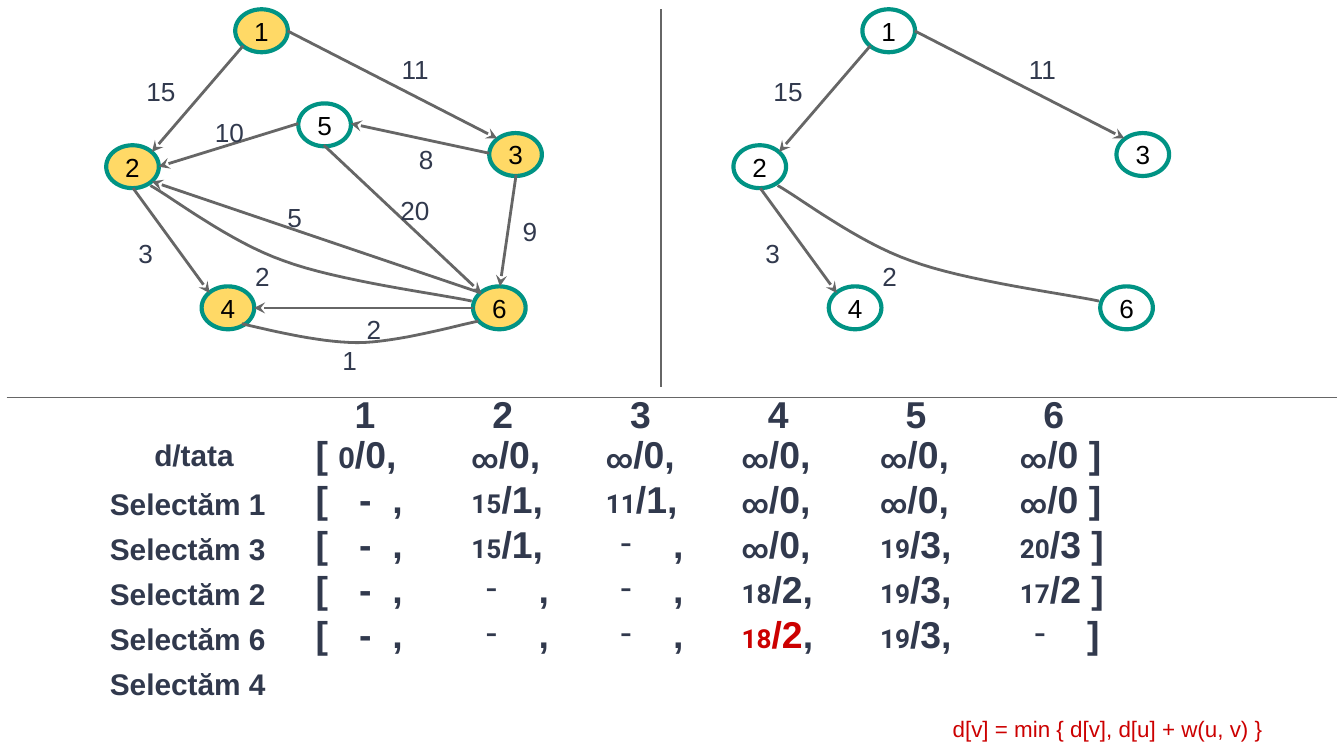
from lxml import etree
from pptx import Presentation
from pptx import util as u
from pptx.dml.color import RGBColor
from pptx.enum import shapes, text
from pptx.oxml import ns

Pt = u.Pt
INK = RGBColor(0x31, 0x39, 0x4D)
RED = RGBColor(0xCC, 0x00, 0x00)
GRAY = RGBColor(0x66, 0x66, 0x66)
TEAL = RGBColor(0x00, 0x93, 0x84)
YELLOW = RGBColor(0xFF, 0xD9, 0x66)
BLACK = RGBColor(0, 0, 0)

presentation = Presentation()
presentation.slide_width, presentation.slide_height = Pt(720), Pt(405)
slide = presentation.slides.add_slide(presentation.slide_layouts[6])


def add_text(x, y, width, height, runs, bold=False, bullet=None, tabs=()):
    """Text box with one paragraph; runs are (text, size, font, color)."""
    frame = slide.shapes.add_textbox(Pt(x), Pt(y), Pt(width), Pt(height)).text_frame
    frame.word_wrap = True
    frame.auto_size = text.MSO_AUTO_SIZE.SHAPE_TO_FIT_TEXT
    frame.margin_left = frame.margin_right = Pt(7.2)
    frame.margin_top = frame.margin_bottom = Pt(7.2)
    paragraph = frame.paragraphs[0]
    properties = paragraph._p.get_or_add_pPr()
    if bullet:
        properties.set("marL", str(Pt(36)))
        properties.set("indent", str(Pt(-28)))
        color = etree.SubElement(properties, ns.qn("a:buClr"))
        etree.SubElement(color, ns.qn("a:srgbClr"), val=str(INK))
        etree.SubElement(properties, ns.qn("a:buFont"), typeface="Roboto")
        etree.SubElement(properties, ns.qn("a:buChar"), char=bullet)
    if tabs:
        tab_list = etree.SubElement(properties, ns.qn("a:tabLst"))
        for position in tabs:
            etree.SubElement(tab_list, ns.qn("a:tab"), pos=str(Pt(position)), algn="l")
    for content, size, name, color in runs:
        run = paragraph.add_run()
        run.text = content
        font = paragraph.font if len(runs) == 1 else run.font
        font.size, font.name, font.bold = Pt(size), name, bold
        font.color.rgb = color


def add_line(x1, y1, x2, y2, width, arrow=False):
    connector = slide.shapes.add_connector(
        shapes.MSO_CONNECTOR.STRAIGHT, Pt(x1), Pt(y1), Pt(x2), Pt(y2))
    connector.line.color.rgb = GRAY
    connector.line.width = Pt(width)
    properties = connector._element.spPr
    if arrow:
        etree.SubElement(properties.find(ns.qn("a:ln")), ns.qn("a:tailEnd"), type="stealth")
    etree.SubElement(properties, ns.qn("a:effectLst"))


# Dividers
add_line(3.6, 213.1, 716.4, 213.1, 0.75)
add_line(354.2, 5, 354.2, 207.4, 0.75)

# Graph data, placed for the left graph; the tree on the right is shifted
TREE_SHIFT = 336
nodes = {"1": (126, 5), "2": (56.9, 77.8), "3": (262.1, 71.3),
         "4": (108, 153.4), "5": (159.8, 55.4), "6": (253.4, 153.4)}
visited = "12346"
# (start, end, weight, label position, in tree)
edges = [
    ((130.3, 24.5), (81.4, 81.4), "15", (71.3, 33.1), True),
    ((154.1, 16.6), (266.4, 74.2), "11", (208.1, 21.6), True),
    ((159.8, 66.2), (85, 89.3), "10", (108, 55.4), False),
    ((262.1, 82.1), (187.9, 66.2), "8", (217.4, 69.8), False),
    ((71.3, 100.8), (112.3, 157), "3", (67, 120.2), True),
    ((257.8, 157), (81.4, 97.2), "5", (146.9, 100.8), False),
    ((253.4, 165), (136.1, 165), "2", (189.4, 160.6), False),
    ((173.5, 77.8), (257.8, 157), "20", (207.4, 97.2), False),
    ((276.5, 93.6), (267.8, 153.4), "9", (272.9, 108), False),
]
# Bezier control points: start, then three per segment
curves = [
    ([(80.6, 99.4), (92.2, 105.8), (123.1, 129.6), (151.9, 139.7),
      (180.7, 150.5), (236.2, 157.7), (252.7, 161.3)], "2", (129.6, 132.5), True),
    ([(129.6, 173.5), (139.7, 175.7), (169.9, 183.6), (191.5, 183.6),
      (212.4, 183.6), (245.5, 174.2), (256.3, 172.1)], "1", (176.4, 177.1), False),
]

for shift in (0, TREE_SHIFT):
    # Nodes
    for name, (x, y) in nodes.items():
        if shift and name == "5":
            continue
        node = slide.shapes.add_shape(
            shapes.MSO_SHAPE.OVAL, Pt(x + shift), Pt(y), Pt(28.2), Pt(23))
        node.shadow.inherit = False
        if name in visited and not shift:
            node.fill.solid()
            node.fill.fore_color.rgb = YELLOW
        else:
            node.fill.background()
        node.line.color.rgb = TEAL
        node.line.width = Pt(2.25)
        frame = node.text_frame
        frame.margin_left = frame.margin_right = Pt(1.44)
        frame.margin_top = frame.margin_bottom = Pt(1.44)
        frame.vertical_anchor = text.MSO_ANCHOR.MIDDLE
        paragraph = frame.paragraphs[0]
        paragraph.text = name
        paragraph.alignment = text.PP_ALIGN.CENTER
        paragraph.font.size, paragraph.font.name = Pt(14), "Arial"
        paragraph.font.color.rgb = BLACK

    # Straight edges
    for (x1, y1), (x2, y2), weight, label, in_tree in edges:
        if in_tree or not shift:
            add_line(x1 + shift, y1, x2 + shift, y2, 1.5, arrow=True)
            add_text(label[0] + shift, label[1], 33.8, 31.7, [(weight, 14, "Arial", INK)])

    # Curved edges
    for controls, weight, label, in_tree in curves:
        if shift and not in_tree:
            continue
        points = []
        for first in range(0, len(controls) - 1, 3):
            a, b, c, d = controls[first:first + 4]
            for step in range(1, 17):
                t = step / 16
                s = 1 - t
                points.append(tuple(
                    Pt(s**3 * a[i] + 3 * s * s * t * b[i] + 3 * s * t * t * c[i]
                       + t**3 * d[i] + (shift if i == 0 else 0)) for i in (0, 1)))
        builder = slide.shapes.build_freeform(Pt(controls[0][0] + shift), Pt(controls[0][1]))
        builder.add_line_segments(points, close=False)
        curve = builder.convert_to_shape()
        curve.shadow.inherit = False
        curve.fill.background()
        curve.line.color.rgb = GRAY
        curve.line.width = Pt(1.5)
        add_text(label[0] + shift, label[1], 33.8, 31.7, [(weight, 14, "Arial", INK)])

# Column numbers
for column in range(6):
    add_text(182.9 + 73.8 * column, 202.3, 38.9, 38.9,
             [(str(column + 1), 20, "Arial", INK)], bold=True)

# Distance / parent steps; a cell without a slash is a dashed one
ROW_STEP = 24.1
column_lefts = [245.5, 317.5, 390.2, 464.4, 539.3]
steps = [
    ("d/tata", ["∞/0,", "∞/0,", "∞/0,", "∞/0,", "∞/0 ]"]),
    ("Selectăm 1", ["15/1,", "11/1,", "∞/0,", "∞/0,", "∞/0 ]"]),
    ("Selectăm 3", ["15/1,", ",", "∞/0,", "19/3,", "20/3 ]"]),
    ("Selectăm 2", [",", ",", "18/2,", "19/3,", "17/2 ]"]),
    ("Selectăm 6", [",", ",", "18/2,", "19/3,", "]"]),
    ("Selectăm 4", []),
]
for row, (label, cells) in enumerate(steps):
    top = 224 + ROW_STEP * row
    x, y, width = (51.8, top + 4.7, 101.5) if row else (75.6, 226.8, 86.4)
    add_text(x, y, width, 33.8, [(label, 16, "Arial", INK)], bold=True)
    if row == 0:
        add_text(162, top, 59.8, 38.9, [("[ ", 20, "Arial", INK), ("0", 16, "Arial", INK),
                                        ("/0,", 20, "Arial", INK)], bold=True)
    elif cells:
        add_text(162, top, 67, 38.9, [("[\t-\t,", 20, "Arial", INK)],
                 bold=True, tabs=(23.3, 41.1))
    for column, (left, cell) in enumerate(zip(column_lefts, cells)):
        distance, slash, parent = cell.partition("/")
        if not slash:
            runs = [(cell, 20, "Arial", INK)]
        elif (row, column) == (4, 2):  # the vertex selected next
            runs = [(distance, 14, "Roboto", RED), ("/" + parent[0], 20, "Arial", RED),
                    (parent[1:], 20, "Arial", INK)]
        else:
            runs = [(distance, 14, "Roboto", INK), ("/" + parent, 20, "Arial", INK)]
        add_text(left, top, 59.8, 38.9, runs, bold=True, bullet=None if slash else "-")

# Relaxation formula
add_text(503.3, 375.8, 216.7, 28.8,
         [("d[v] = min { d[v], d[u] + w(u, v) }", 12, "Arial", RED)])

presentation.save("out.pptx")
